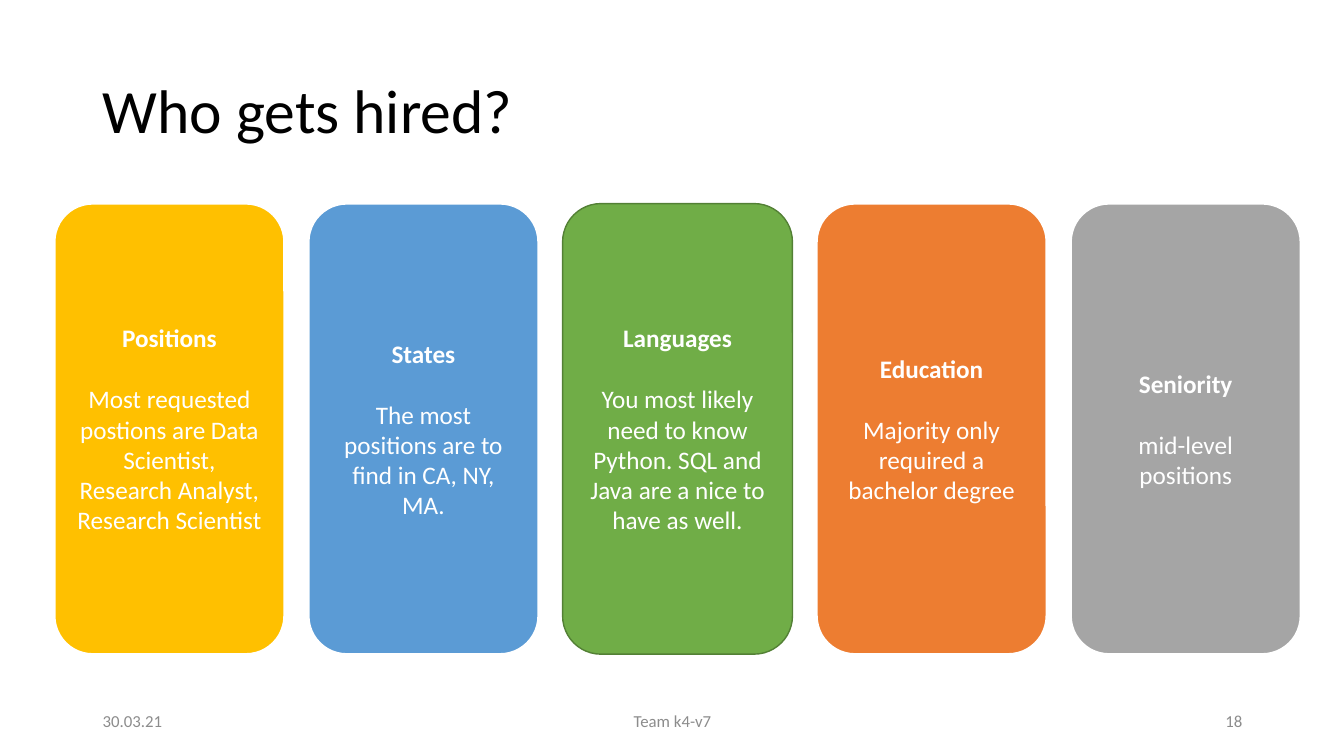
from pptx import Presentation
from pptx.dml.color import RGBColor
from pptx.enum.shapes import MSO_SHAPE
from pptx.enum.text import MSO_ANCHOR, PP_ALIGN
from pptx.util import Inches, Pt

COLORS = {
    "black": "000000", "white": "FFFFFF", "muted": "8C8C8C",
    "gold": "FFC000", "blue": "5B9BD5", "green": "70AD47",
    "moss": "538035", "orange": "ED7D31", "gray": "A5A5A5",
}
TITLE = "Who gets hired?"
# heading, body, fill, line color, line width
CARDS = [
    ("Positions", "Most requested postions are Data Scientist, "
     "Research Analyst, Research Scientist", "gold", "white", 1.5),
    ("States", "The most positions are to find in CA, NY, MA.",
     "blue", "white", 1.5),
    ("Languages", "You most likely need to know Python. SQL and Java "
     "are a nice to have as well.", "green", "moss", 1),
    ("Education", "Majority only required a bachelor degree",
     "orange", "white", 1.5),
    ("Seniority", "mid-level positions", "gray", "white", 1.5),
]
# text, left, width, alignment
FOOTER = [
    ("30.03.21", 0.92, 3, PP_ALIGN.LEFT),
    ("Team k4-v7", 4.42, 4.5, PP_ALIGN.CENTER),
    ("18", 9.42, 3, PP_ALIGN.RIGHT),
]
CARD_LEFT, CARD_TOP, CARD_W, CARD_H = 0.54, 2.02, 2.28, 4.47
CARD_STEP = 2.52

deck = Presentation()
deck.slide_width, deck.slide_height = Inches(13.33), Inches(7.5)
slide = deck.slides.add_slide(deck.slide_layouts[6])


def rgb(name):
    return RGBColor.from_string(COLORS[name])


def write(text, par, size=18, color="white", bold=False,
          align=PP_ALIGN.CENTER, before=0, spacing=1.0):
    par.alignment = align
    par.space_before = Pt(before)
    par.line_spacing = spacing
    run = par.add_run()
    run.text = text
    font = run.font
    font.name, font.size, font.bold = "Calibri", Pt(size), bold
    font.color.rgb = rgb(color)


def label(text, left, top, width, height, **style):
    box = slide.shapes.add_textbox(*map(Inches, (left, top, width, height)))
    frame = box.text_frame
    frame.word_wrap = True
    frame.vertical_anchor = MSO_ANCHOR.MIDDLE
    write(text, frame.paragraphs[0], **style)


# Title
label(TITLE, 0.92, 0.4, 11.5, 1.45, size=44, color="black",
      align=PP_ALIGN.LEFT, spacing=0.9)

# Footer
for text, left, width, align in FOOTER:
    label(text, left, 6.95, width, 0.4, size=12, color="muted", align=align)

# Row of cards
for i, (head, body, fill, edge, weight) in enumerate(CARDS):
    left = CARD_LEFT + i * CARD_STEP
    card = slide.shapes.add_shape(
        MSO_SHAPE.ROUNDED_RECTANGLE,
        *map(Inches, (left, CARD_TOP, CARD_W, CARD_H)))
    card.shadow.inherit = False
    card.fill.solid()
    card.fill.fore_color.rgb = rgb(fill)
    card.line.color.rgb = rgb(edge)
    card.line.width = Pt(weight)
    frame = card.text_frame
    frame.word_wrap = True
    frame.vertical_anchor = MSO_ANCHOR.MIDDLE
    write(head, frame.paragraphs[0], bold=True)
    write(body, frame.add_paragraph(), before=22)

deck.save("out.pptx")
